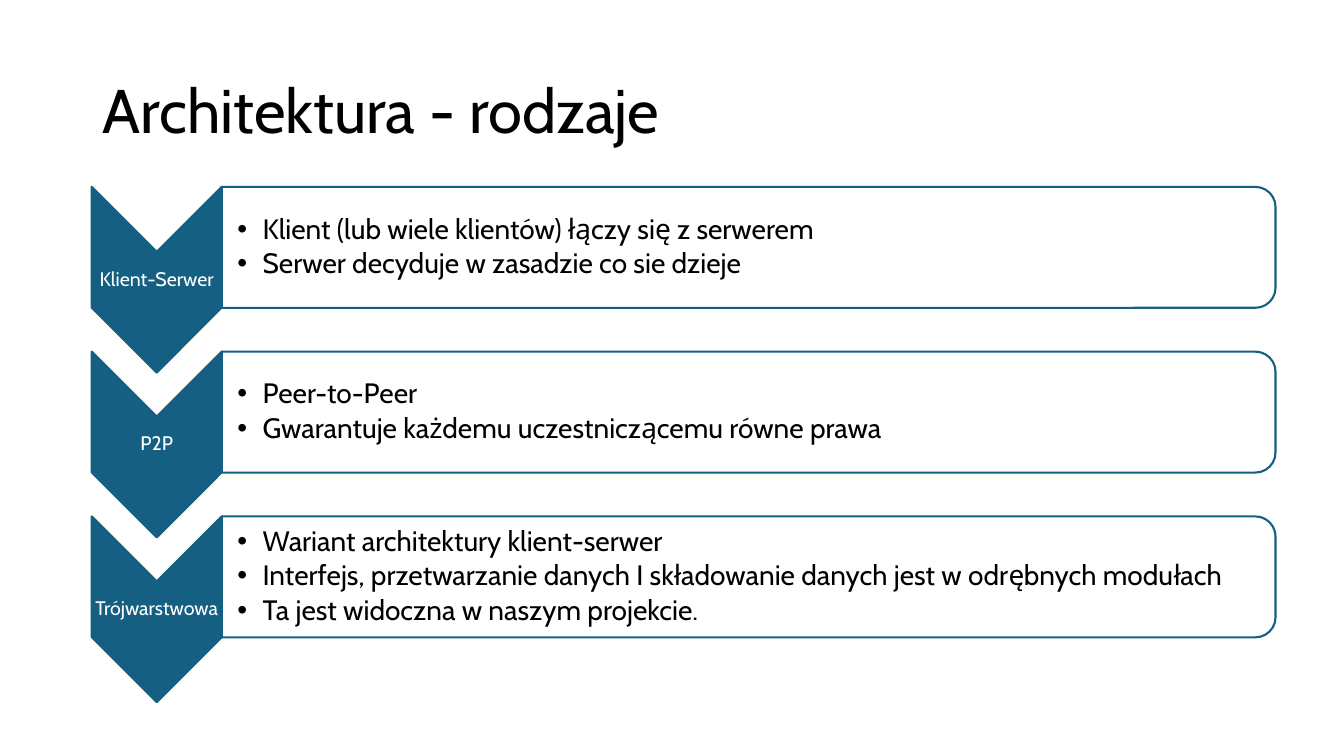
from lxml import etree
from pptx import Presentation
from pptx import util as u
from pptx.dml.color import RGBColor
from pptx.enum import shapes, text
from pptx.oxml import ns

TEAL = RGBColor(0x15, 0x60, 0x82)
WHITE = RGBColor(0xFF, 0xFF, 0xFF)
BLACK = RGBColor(0, 0, 0)
FONT = "Cabin"

# Row geometry in points
ROW_LEFT, FIRST_TOP, ROW_PITCH = 65.5, 133.5, 117.7
ROW_WIDTH = 845.6
CHEVRON_WIDTH, CHEVRON_HEIGHT = 92.9, 132.6
BAR_HEIGHT = 86.4

KINDS = [
    ("Klient-Serwer", ["Klient (lub wiele klientów) łączy się z serwerem",
                       "Serwer decyduje w zasadzie co sie dzieje"]),
    ("P2P", ["Peer-to-Peer",
             "Gwarantuje każdemu uczestniczącemu równe prawa"]),
    ("Trójwarstwowa", ["Wariant architektury klient-serwer",
                       "Interfejs, przetwarzanie danych I składowanie danych jest w odrębnych modułach",
                       "Ta jest widoczna w naszym projekcie."]),
]


def style_paragraph(para, size, color, space_after=0):
    para.line_spacing = 0.9
    para.space_before = u.Pt(0)
    para.space_after = u.Pt(space_after)
    for span in para.runs:
        span.font.name = FONT
        span.font.size = u.Pt(size)
        span.font.color.rgb = color


def add_bullet(para):
    props = para._p.get_or_add_pPr()
    props.set("marL", str(u.Pt(18)))
    props.set("indent", str(-u.Pt(18)))
    etree.SubElement(props, ns.qn("a:buFont")).set("typeface", "Arial")
    etree.SubElement(props, ns.qn("a:buChar")).set("char", "•")


def add_turned_shape(page, kind, left, top, width, height, fill):
    """Fill the given box with a shape turned a quarter clockwise."""
    shift = (width - height) / 2
    shape = page.shapes.add_shape(kind, u.Pt(left + shift), u.Pt(top - shift),
                                  u.Pt(height), u.Pt(width))
    shape.rotation = 90
    shape.shadow.inherit = False
    shape.fill.solid()
    shape.fill.fore_color.rgb = fill
    shape.line.color.rgb = TEAL
    shape.line.width = u.Pt(1.5)
    return shape


def add_text(page, left, top, width, height, lines, inset_left):
    box = page.shapes.add_textbox(u.Pt(left), u.Pt(top), u.Pt(width), u.Pt(height))
    frame = box.text_frame
    frame.word_wrap = True
    frame.vertical_anchor = text.MSO_ANCHOR.MIDDLE
    frame.margin_left = u.Pt(inset_left)
    frame.margin_top = frame.margin_right = frame.margin_bottom = u.Pt(0.7)
    frame.text = "\n".join(lines)
    return frame.paragraphs


def add_title(page, left, top, width, height):
    title = page.shapes.title
    title.left, title.top = u.Pt(left), u.Pt(top)
    title.width, title.height = u.Pt(width), u.Pt(height)
    frame = title.text_frame
    frame.text = "Architektura - rodzaje"
    frame.vertical_anchor = text.MSO_ANCHOR.MIDDLE
    frame.paragraphs[0].alignment = text.PP_ALIGN.LEFT
    style_paragraph(frame.paragraphs[0], 44, BLACK)


def add_row(page, left, top, width, label, points):
    # Chevron and its label
    add_turned_shape(page, shapes.MSO_SHAPE.CHEVRON, left, top,
                     CHEVRON_WIDTH, CHEVRON_HEIGHT, TEAL)
    para = add_text(page, left, top + CHEVRON_WIDTH / 2, CHEVRON_WIDTH,
                    CHEVRON_HEIGHT - CHEVRON_WIDTH, [label], 0.7)[0]
    para.alignment = text.PP_ALIGN.CENTER
    style_paragraph(para, 14, WHITE, 4.9)

    # Bar rounded on the right, with its list
    bar_left, bar_width = left + CHEVRON_WIDTH, width - CHEVRON_WIDTH
    add_turned_shape(page, shapes.MSO_SHAPE.ROUND_2_SAME_RECTANGLE,
                     bar_left, top, bar_width, BAR_HEIGHT, WHITE)
    for para in add_text(page, bar_left, top + 4.2, bar_width - 4.2,
                         BAR_HEIGHT - 8.4, points, 11.2):
        add_bullet(para)
        style_paragraph(para, 20, BLACK, 3)


def main():
    deck = Presentation()
    deck.slide_width, deck.slide_height = u.Pt(960), u.Pt(540)
    page = deck.slides.add_slide(deck.slide_layouts[5])
    add_title(page, 66, 28.8, 828, 104.4)
    for index, (label, points) in enumerate(KINDS):
        add_row(page, ROW_LEFT, FIRST_TOP + index * ROW_PITCH, ROW_WIDTH, label, points)
    deck.save("out.pptx")


if __name__ == "__main__":
    main()
